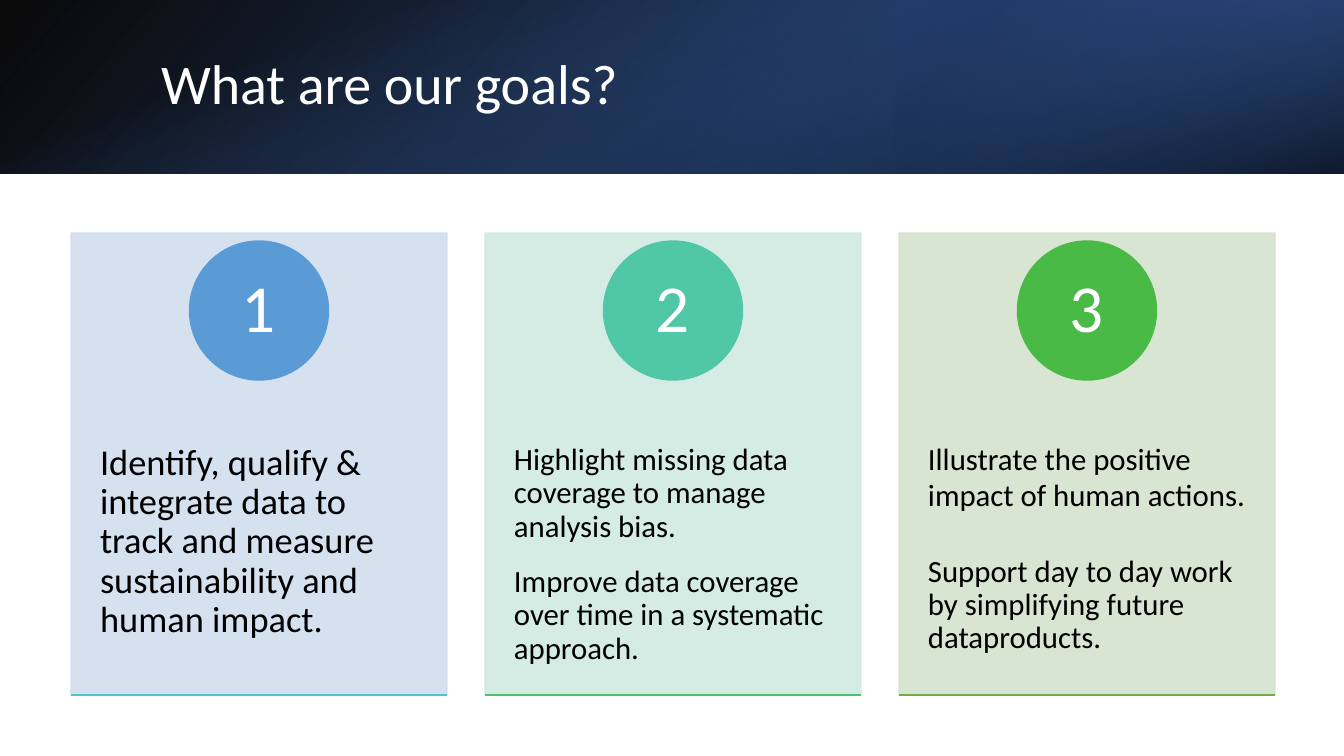
from lxml import etree
from pptx import Presentation
from pptx.dml.color import RGBColor
from pptx.enum.shapes import MSO_CONNECTOR as CONNECTOR, MSO_SHAPE as SHAPE
from pptx.enum.text import MSO_ANCHOR as ANCHOR, PP_ALIGN as ALIGN
from pptx.oxml import parse_xml
from pptx.oxml.ns import nsdecls, qn
from pptx.util import Pt

SCALE = 12192000 / 1344  # EMU per px
WIDTH, HEIGHT, BAND_HEIGHT = 1344, 756, 174


def px(*lengths):
    return [round(length * SCALE) for length in lengths]


def add_run(paragraph, text, size, color):
    run = paragraph.add_run()
    run.text = text
    run.font.name = "Calibri"
    run.font.size = Pt(size)
    run.font.color.rgb = RGBColor.from_string(color)


presentation = Presentation()
presentation.slide_width, presentation.slide_height = px(WIDTH, HEIGHT)
slide = presentation.slides.add_slide(presentation.slide_layouts[5])
shapes = slide.shapes

# Header band: three stacked gradients
# (box, rotation, flipped, angle, stops of position, colour, opacity)
turned_left = (WIDTH - BAND_HEIGHT) // 2
band_layers = [
    ((0, 0, WIDTH, BAND_HEIGHT), 0, True, 140,
     [(0, "000000", 96), (100, "2F5597", 100)]),
    ((896, 0, 448, BAND_HEIGHT), 180, True, 320,
     [(19, "203864", 68), (100, "4472C4", 79)]),
    ((turned_left, -turned_left, BAND_HEIGHT, WIDTH), 90, False, 340,
     [(23, "4472C4", 0), (99, "000000", 74)]),
]
for box, rotation, flipped, angle, stops in band_layers:
    layer = shapes.add_shape(SHAPE.RECTANGLE, *px(*box))
    layer.shadow.inherit = False
    layer.line.fill.background()
    layer.rotation = rotation
    properties = layer._element.spPr
    if flipped:
        properties.find(qn("a:xfrm")).set("flipH", "1")
    stop_xml = "".join(
        f'<a:gs pos="{position * 1000}"><a:srgbClr val="{color}">'
        f'<a:alpha val="{opacity * 1000}"/></a:srgbClr></a:gs>'
        for position, color, opacity in stops)
    properties.find(qn("a:prstGeom")).addnext(parse_xml(
        f'<a:gradFill {nsdecls("a")} rotWithShape="1"><a:gsLst>{stop_xml}</a:gsLst>'
        f'<a:lin ang="{angle * 60000}" scaled="0"/></a:gradFill>'))

# Title, brought in front of the band
title = shapes.title
title.left, title.top, title.width, title.height = px(151, 38, 1107, 97)
shapes._spTree.append(title._element)
title.text_frame.vertical_anchor = ANCHOR.MIDDLE
heading = title.text_frame.paragraphs[0]
heading.alignment = ALIGN.LEFT
heading.line_spacing = 0.9
add_run(heading, "What are our goals?", 40, "FFFFFF")

# Goal cards
# (card, circle and rule colours, gap between paragraphs, paragraphs of runs)
goals = [
    ("D2DEEF", "5B9BD5", "55C3CF", 0, [
        [("Identify, qualify & integrate data to track and measure "
          "sustainability and human impact.", 26)]]),
    ("D0EAE1", "50C8A7", "4BC174", 16, [
        [("Highlight missing data coverage to manage analysis bias.", 22)],
        [("Improve data coverage over time in a systematic approach.", 22)]]),
    ("D5E3CF", "4ABA46", "70AD47", 30, [
        [("Illustrate the positive impact of human actions.", 22), (" ", 24)],
        [("Support day to day work by simplifying future dataproducts.", 22)]]),
]
CARD_LEFT, CARD_TOP, CARD_WIDTH, CARD_HEIGHT, CARD_PITCH = 71, 233, 376, 462, 414
CIRCLE = 139

for index, (card_color, circle_color, rule_color, gap, paragraphs) in enumerate(goals):
    left = CARD_LEFT + index * CARD_PITCH
    bottom = CARD_TOP + CARD_HEIGHT

    # Card and numbered circle
    card = shapes.add_shape(SHAPE.RECTANGLE, *px(left, CARD_TOP, CARD_WIDTH, CARD_HEIGHT))
    circle = shapes.add_shape(
        SHAPE.OVAL, *px(left + (CARD_WIDTH - CIRCLE) / 2, CARD_TOP + 8, CIRCLE, CIRCLE))
    for shape, color in ((card, card_color), (circle, circle_color)):
        shape.shadow.inherit = False
        shape.fill.solid()
        shape.fill.fore_color.rgb = RGBColor.from_string(color)
        shape.line.color.rgb = RGBColor.from_string(color)
        shape.line.width = Pt(1)
    for card_paint in card._element.spPr.iter(qn("a:srgbClr")):
        etree.SubElement(card_paint, qn("a:alpha")).set("val", "90000")

    frame = circle.text_frame
    frame.margin_left, frame.margin_top, frame.margin_right, frame.margin_bottom = px(11, 1, 11, 1)
    frame.vertical_anchor = ANCHOR.MIDDLE
    number = frame.paragraphs[0]
    number.alignment = ALIGN.CENTER
    number.line_spacing = 0.9
    add_run(number, str(index + 1), 48, "FFFFFF")

    # Goal text
    frame = shapes.add_textbox(*px(left, 408, CARD_WIDTH, 277)).text_frame
    frame.word_wrap = True
    frame.margin_left, frame.margin_top, frame.margin_right, frame.margin_bottom = px(29, 36, 29, 36)
    for position, runs in enumerate(paragraphs):
        paragraph = frame.add_paragraph() if position else frame.paragraphs[0]
        paragraph.line_spacing = 0.9
        if position:
            paragraph.space_before = Pt(gap)
        for text, size in runs:
            add_run(paragraph, text, size, "000000")

    # Rule along the bottom edge
    rule = shapes.add_connector(CONNECTOR.STRAIGHT, *px(left, bottom, left + CARD_WIDTH, bottom))
    rule.line.color.rgb = RGBColor.from_string(rule_color)
    rule.line.width = Pt(1)
    etree.SubElement(rule._element.spPr, qn("a:effectLst"))

presentation.save("out.pptx")
